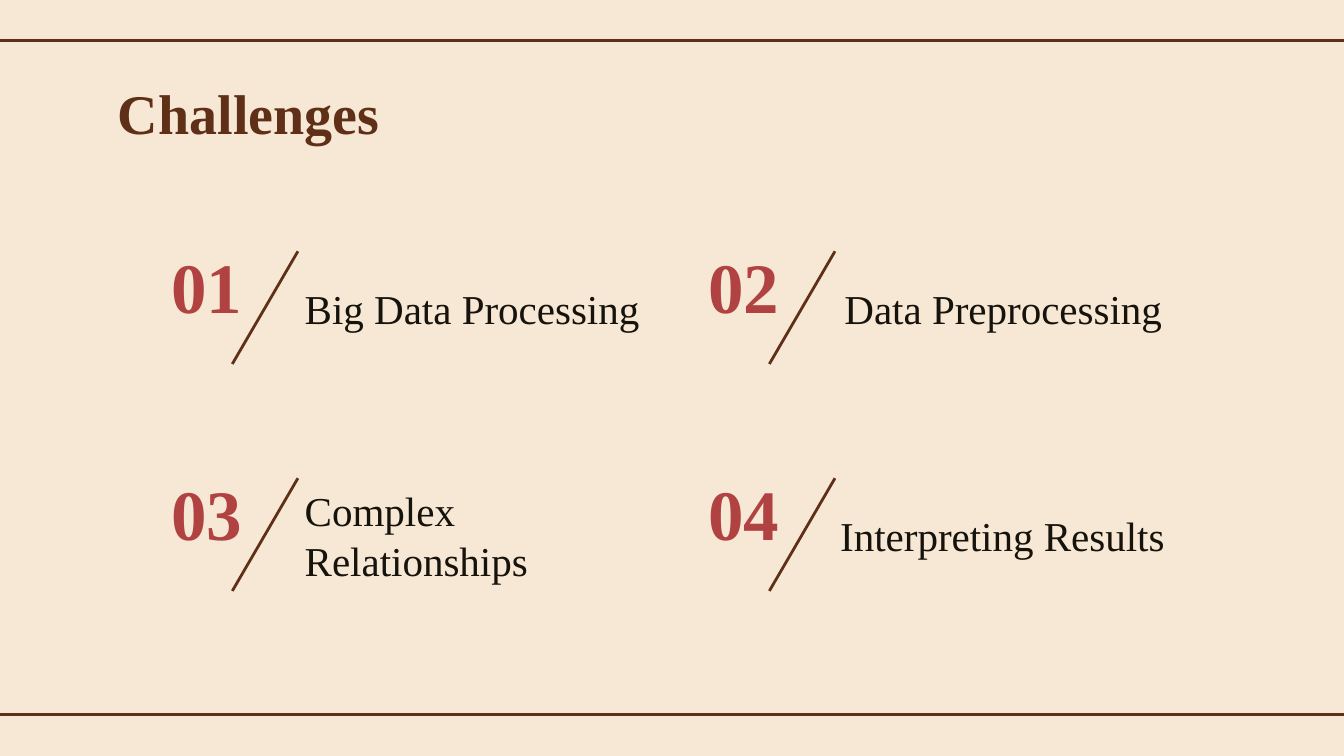
from lxml.etree import SubElement
from pptx import Presentation
from pptx.dml.color import RGBColor as Rgb
from pptx.enum.shapes import MSO_CONNECTOR as Link
from pptx.enum.text import MSO_ANCHOR as Anchor, MSO_AUTO_SIZE as Auto, PP_ALIGN as Align
from pptx.oxml.ns import qn
from pptx.util import Cm, Pt

HUES = {"back": "F6E8D4", "brown": "5F2F17", "red": "B14242", "ink": "16120C"}
WIDE, HIGH = 25.4, 14.29


class Page:
    font = "Times New Roman"
    inset = Cm(0.25)

    def __init__(self, deck):
        self.slide = deck.slides.add_slide(deck.slide_layouts[5])
        fill = self.slide.background.fill
        fill.solid()
        fill.fore_color.rgb = self.hue("back")

    def hue(self, name):
        return Rgb.from_string(HUES[name])

    def label(self, shape, text, size, hue, bold=False, align=Align.LEFT, anchor=Anchor.MIDDLE):
        frame = shape.text_frame
        frame.word_wrap = True
        frame.auto_size = Auto.NONE
        frame.vertical_anchor = anchor
        frame.margin_left = frame.margin_right = self.inset
        frame.margin_top = frame.margin_bottom = self.inset
        para = frame.paragraphs[0]
        para.alignment = align
        run = para.add_run()
        run.text = text
        font = run.font
        font.name, font.size, font.bold = self.font, Pt(size), bold
        font.color.rgb = self.hue(hue)

    def title(self, text, left, top, width, height):
        shape = self.slide.shapes.title
        shape.left, shape.top = Cm(left), Cm(top)
        shape.width, shape.height = Cm(width), Cm(height)
        self.label(shape, text, 30, "brown", bold=True, anchor=Anchor.TOP)

    def box(self, text, left, top, width, height, size, hue, **style):
        shape = self.slide.shapes.add_textbox(Cm(left), Cm(top), Cm(width), Cm(height))
        self.label(shape, text, size, hue, **style)

    def line(self, left, top, right, base):
        shape = self.slide.shapes.add_connector(
            Link.STRAIGHT, Cm(left), Cm(top), Cm(right), Cm(base))
        shape.line.color.rgb = self.hue("brown")
        shape.line.width = Pt(1.5)
        SubElement(shape._element.spPr, qn("a:effectLst"))

    def item(self, num, text, left, top, indent):
        self.box(f"{num:02}", left, top, 2.9, 1.85, 38, "red", bold=True, align=Align.CENTER)
        self.line(left + 1.93, top + 2.41, left + 3.17, top + 0.28)
        self.box(text, left + indent, top + 0.86, 6.91, 0.99, 22, "ink")


def main():
    deck = Presentation()
    deck.slide_width, deck.slide_height = Cm(WIDE), Cm(HIGH)
    page = Page(deck)
    for y in (0.76, 13.51):
        page.line(0, y, WIDE, y)
    page.title("Challenges", 1.98, 1.24, 13.74, 1.6)
    items = [
        ("Big Data Processing", 3.05),
        ("Data Preprocessing", 3.1),
        ("Complex Relationships", 3.05),
        ("Interpreting Results", 3.02),
    ]
    for i, (text, indent) in enumerate(items):
        row, col = divmod(i, 2)
        page.item(i + 1, text, 2.46 + col * 10.15, 4.47 + row * 4.29, indent)
    deck.save("out.pptx")


if __name__ == "__main__":
    main()
